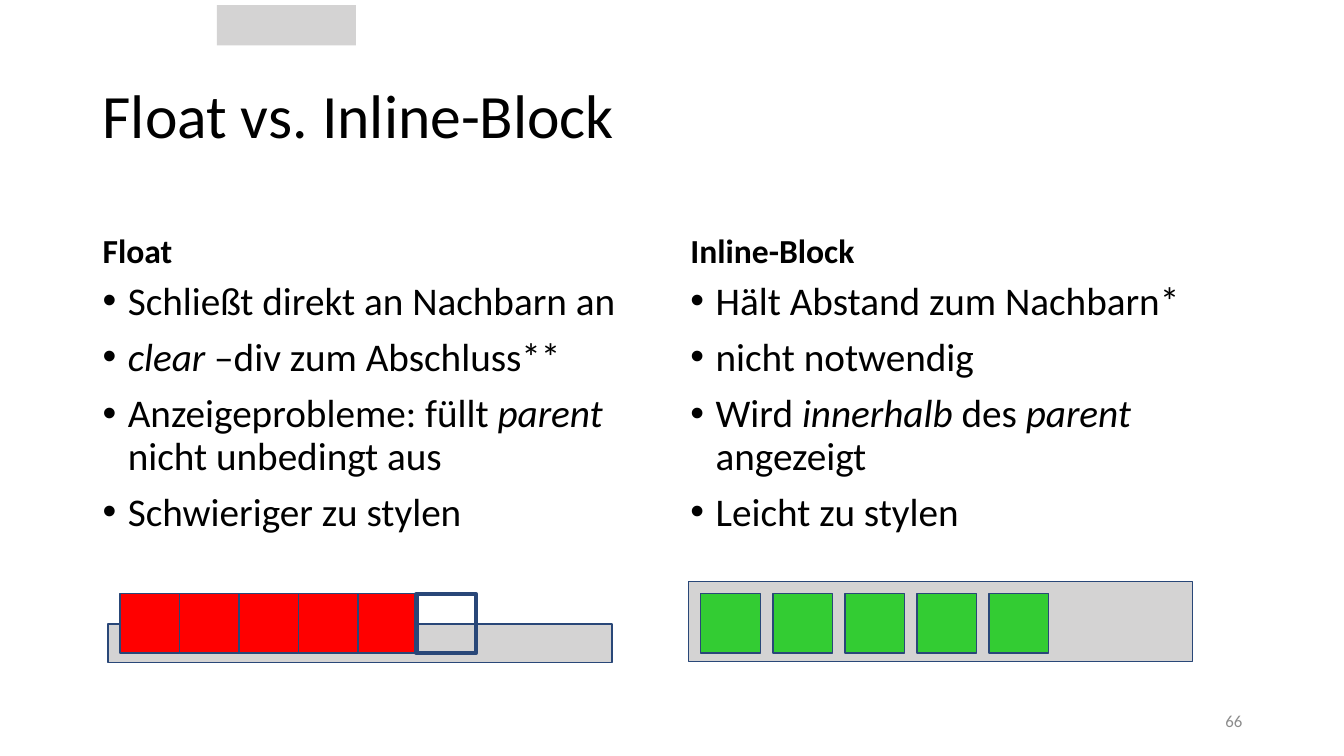
from lxml import etree
from pptx import Presentation
from pptx.dml.color import RGBColor
from pptx.enum import shapes, text
from pptx.oxml.ns import qn
from pptx.util import Inches, Pt

deck = Presentation()
deck.slide_width, deck.slide_height = Inches(13.33), Inches(7.5)
slide = deck.slides.add_slide(deck.slide_layouts[6])

GREY, NAVY, RED, GREEN = "D4D3D3", "294778", "FF0000", "33CC33"


def add_box(left, top, width, height, fill=None, line=None, weight=1):
    box = slide.shapes.add_shape(
        shapes.MSO_SHAPE.RECTANGLE, Inches(left), Inches(top), Inches(width), Inches(height))
    box.shadow.inherit = False
    if fill:
        box.fill.solid()
        box.fill.fore_color.rgb = RGBColor.from_string(fill)
    else:
        box.fill.background()
    if line:
        box.line.color.rgb = RGBColor.from_string(line)
        box.line.width = Pt(weight)
    else:
        box.line.fill.background()


def add_text(left, top, width, height, lines, size, anchor, color="000000",
             bold=False, bullets=False, align=text.PP_ALIGN.LEFT, spacing=0.9):
    frame = slide.shapes.add_textbox(
        Inches(left), Inches(top), Inches(width), Inches(height)).text_frame
    frame.word_wrap = True
    frame.vertical_anchor = anchor
    for number, line in enumerate(lines):
        paragraph = frame.add_paragraph() if number else frame.paragraphs[0]
        paragraph.alignment = align
        paragraph.line_spacing = spacing
        if number:
            paragraph.space_before = Pt(10)
        if bullets:
            properties = paragraph._p.get_or_add_pPr()
            properties.set("marL", str(Inches(0.25)))
            properties.set("indent", str(-Inches(0.25)))
            etree.SubElement(properties, qn("a:buFont")).set("typeface", "Arial")
            etree.SubElement(properties, qn("a:buChar")).set("char", "•")
        paragraph.font.name = "Calibri"
        paragraph.font.size = Pt(size)
        paragraph.font.bold = bold
        paragraph.font.color.rgb = RGBColor.from_string(color)
        for position, part in enumerate(line.split("_")):
            if part:
                run = paragraph.add_run()
                run.text = part
                if position % 2:
                    run.font.italic = True


add_box(2.15, 0.05, 1.38, 0.4, GREY)
add_text(0.92, 0.5, 11.5, 1.35, ["Float vs. Inline-Block"], 44, text.MSO_ANCHOR.MIDDLE)

comparison = [
    (0.92, 5.64, "Float", [
        "Schließt direkt an Nachbarn an",
        "_clear_ –div zum Abschluss**",
        "Anzeigeprobleme: füllt _parent_ nicht unbedingt aus",
        "Schwieriger zu stylen"]),
    (6.75, 5.67, "Inline-Block", [
        "Hält Abstand zum Nachbarn*",
        "nicht notwendig",
        "Wird _innerhalb_ des _parent_ angezeigt",
        "Leicht zu stylen"]),
]
for left, width, heading, points in comparison:
    add_text(left, 1.84, width, 0.9, [heading], 24, text.MSO_ANCHOR.BOTTOM, bold=True)
    add_text(left, 2.74, width, 4.03, points, 28, text.MSO_ANCHOR.TOP, bullets=True)

add_text(9.42, 6.95, 3, 0.4, ["66"], 12, text.MSO_ANCHOR.MIDDLE, color="8C8C8C",
         align=text.PP_ALIGN.RIGHT, spacing=1.0)

block_top, block_size = 5.89, 0.59
parents = [
    (6.83, 5.77, 0.79, GREEN, 0.715),
    (1.07, 6.19, 0.38, RED, block_size),
]
for left, top, height, block_color, pitch in parents:
    add_box(left, top, 5, height, GREY, NAVY)
    for index in range(5):
        add_box(left + 0.12 + index * pitch, block_top, block_size, block_size, block_color, NAVY)

add_box(4.13, block_top, block_size, block_size, line=NAVY, weight=3)

deck.save("out.pptx")
